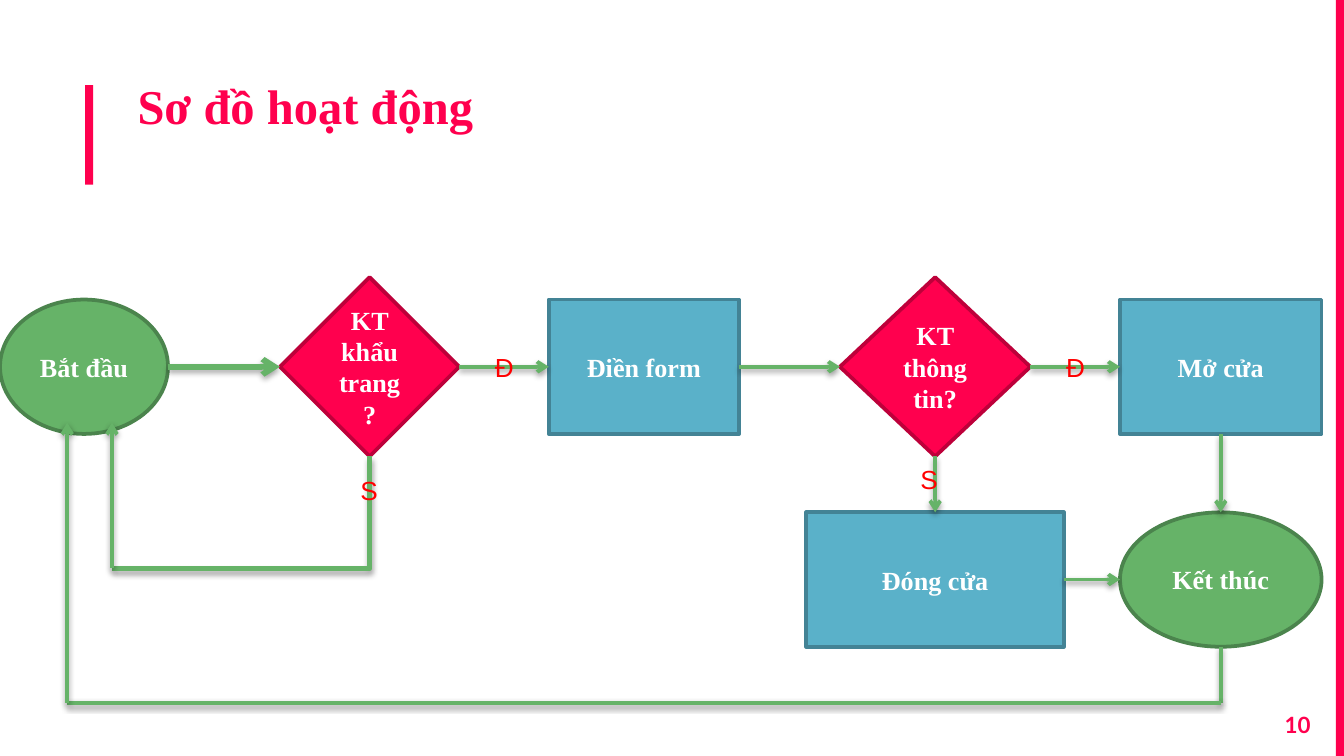
from lxml.etree import SubElement
from pptx import Presentation
from pptx.dml.color import RGBColor
from pptx.enum.shapes import MSO_CONNECTOR, MSO_SHAPE
from pptx.enum.text import MSO_ANCHOR, PP_ALIGN
from pptx.oxml.ns import qn
from pptx.util import Inches, Pt

theme = {
    "accent": RGBColor.from_string("FF004E"),
    "flow": RGBColor.from_string("66B368"),
    "branch": RGBColor.from_string("FF0000"),
    "white": RGBColor.from_string("FFFFFF"),
    "terminal": (MSO_SHAPE.OVAL, "66B368", "4B844D"),
    "decision": (MSO_SHAPE.DIAMOND, "FF004E", "BD003A"),
    "process": (MSO_SHAPE.RECTANGLE, "5AB1C9", "438395"),
    "serif": "Times New Roman",
    "sans": "Arial",
    "number": "Lato",
    "title_size": Pt(26),
    "body_size": Pt(14),
    "number_size": Pt(12),
}

deck = Presentation()
deck.slide_width = Inches(10)
deck.slide_height = deck.slide_width * 9 // 16
slide = deck.slides.add_slide(deck.slide_layouts[6])
shapes = slide.shapes
COL = ROW = deck.slide_width / 120
FLOW_TOP = 24.75 * ROW


def grid(col, row):
    return round(col * COL), round(FLOW_TOP + row * ROW)


def write(frame, text, font, size, color, bold=True, align=PP_ALIGN.LEFT):
    paragraph = frame.paragraphs[0]
    paragraph.text = text
    paragraph.alignment = align
    paragraph.font.name = font
    paragraph.font.size = size
    paragraph.font.bold = bold
    paragraph.font.color.rgb = color


for left, top, width, height in [(7.6, 7.6, 0.72, 8.88), (119.28, 0, 0.72, 67.5)]:
    bar = shapes.add_shape(
        MSO_SHAPE.RECTANGLE, round(left * COL), round(top * ROW), round(width * COL), round(height * ROW)
    )
    bar.shadow.inherit = False
    bar.fill.solid()
    bar.fill.fore_color.rgb = theme["accent"]
    bar.line.fill.background()

headings = [
    ("Sơ đồ hoạt động", (11.1, 5.58, 42.36, 11.28), theme["serif"], theme["title_size"], PP_ALIGN.LEFT),
    ("10", (111, 62.34, 7.2, 5.16), theme["number"], theme["number_size"], PP_ALIGN.RIGHT),
]
for text, (left, top, width, height), font, size, align in headings:
    frame = shapes.add_textbox(
        round(left * COL), round(top * ROW), round(width * COL), round(height * ROW)
    ).text_frame
    frame.word_wrap = True
    frame.margin_top = frame.margin_bottom = Inches(0.1)
    write(frame, text, font, size, theme["accent"], align=align)

steps = [
    ("Bắt đầu", "terminal", 0, 2, 15, 12),
    ("KT khẩu trang?", "decision", 25, 0, 16, 16),
    ("Điền form", "process", 49, 2, 17, 12),
    ("KT thông tin?", "decision", 75, 0, 17, 16),
    ("Mở cửa", "process", 100, 2, 18, 12),
    ("Đóng cửa", "process", 72, 21, 23, 12),
    ("Kết thúc", "terminal", 100, 21, 18, 12),
]
for text, role, col, row, cols, rows in steps:
    outline, fill, edge = theme[role]
    step = shapes.add_shape(outline, *grid(col, row), round(cols * COL), round(rows * ROW))
    step.shadow.inherit = False
    step.fill.solid()
    step.fill.fore_color.rgb = RGBColor.from_string(fill)
    step.line.color.rgb = RGBColor.from_string(edge)
    step.line.width = Pt(2)
    step.text_frame.word_wrap = True
    step.text_frame.vertical_anchor = MSO_ANCHOR.MIDDLE
    write(step.text_frame, text, theme["serif"], theme["body_size"], theme["white"], align=PP_ALIGN.CENTER)

flows = [
    ((15, 8), (25, 8), 3, "arrow"),
    ((16.5, 9.5), (26.5, 32.5), 3, "bend"),
    ((10, 26), (10, 13), 2, "arrow"),
    ((41, 8), (49, 8), 2, "arrow"),
    ((66, 8), (75, 8), 2, "arrow"),
    ((92, 8), (100, 8), 2, "arrow"),
    ((83.5, 16), (83.5, 21), 2, "arrow"),
    ((95, 27), (100, 27), 2, "arrow"),
    ((109, 14), (109, 21), 2, "arrow"),
    ((109, 33), (109, 38), 2, "plain"),
    ((109, 38), (6, 38), 2, "plain"),
    ((6, 38), (6, 13), 2, "arrow"),
]
for start, end, weight, kind in flows:
    flow = shapes.add_connector(MSO_CONNECTOR.STRAIGHT, *grid(*start), *grid(*end))
    flow.line.color.rgb = theme["flow"]
    flow.line.width = Pt(weight)
    properties = flow._element.spPr
    if kind == "arrow":
        SubElement(flow.line._get_or_add_ln(), qn("a:tailEnd"), type="arrow")
    elif kind == "bend":
        properties.find(qn("a:prstGeom")).set("prst", "bentConnector2")
        properties.find(qn("a:xfrm")).set("rot", "5400000")
    distance, opacity = ("23000", "35000") if weight == 3 else ("20000", "38000")
    effects = SubElement(properties, qn("a:effectLst"))
    shadow = SubElement(effects, qn("a:outerShdw"), blurRad="40000", dist=distance, dir="5400000", rotWithShape="0")
    shade = SubElement(shadow, qn("a:srgbClr"), val="000000")
    SubElement(shade, qn("a:alpha"), val=opacity)

for text, col, row in [("Đ", 43, 6), ("S", 31, 17), ("Đ", 94, 6), ("S", 81, 16)]:
    answer = shapes.add_textbox(*grid(col, row), round(4 * COL), round(4 * ROW))
    answer.text_frame.word_wrap = False
    write(answer.text_frame, text, theme["sans"], theme["body_size"], theme["branch"], bold=False)

deck.save("out.pptx")
